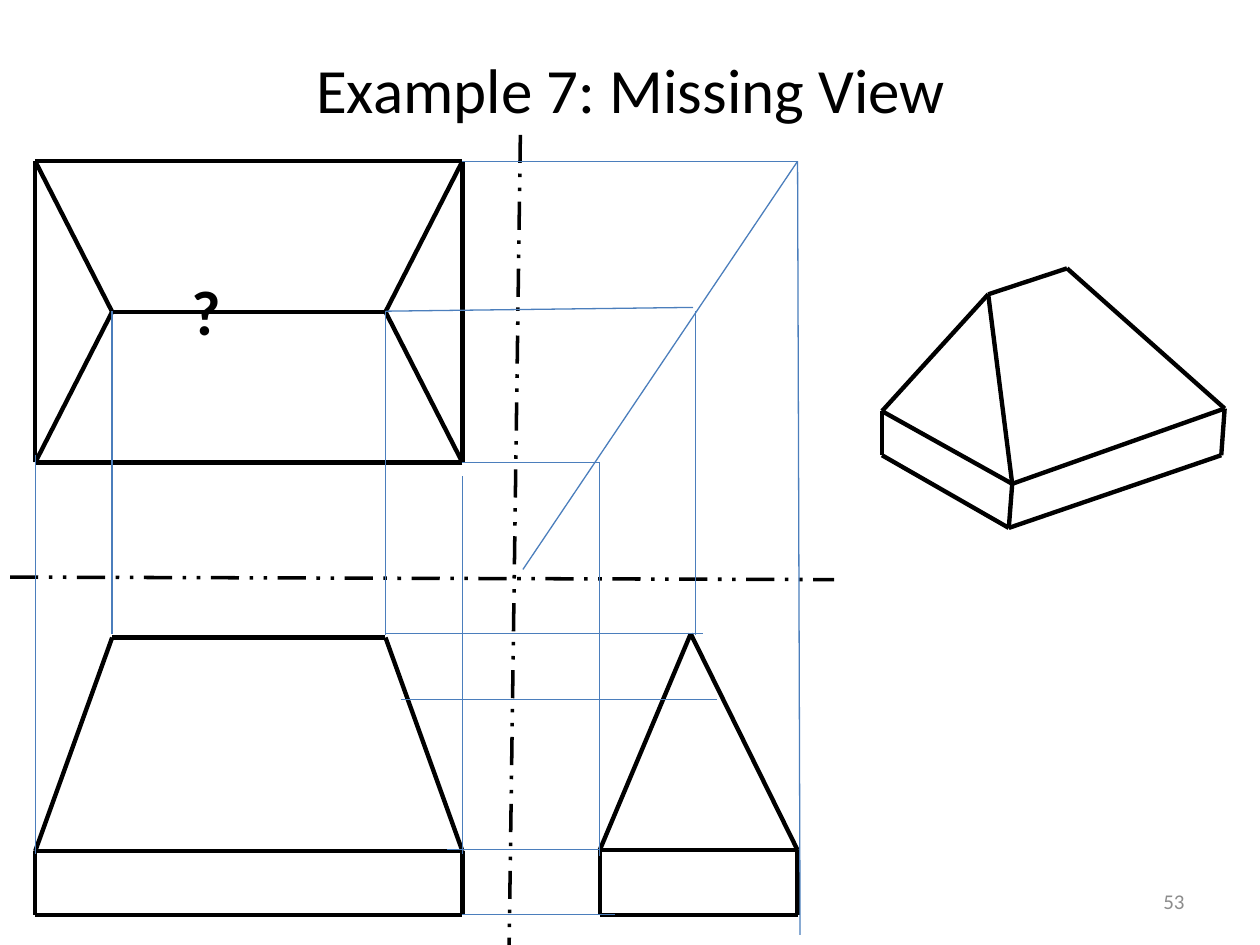
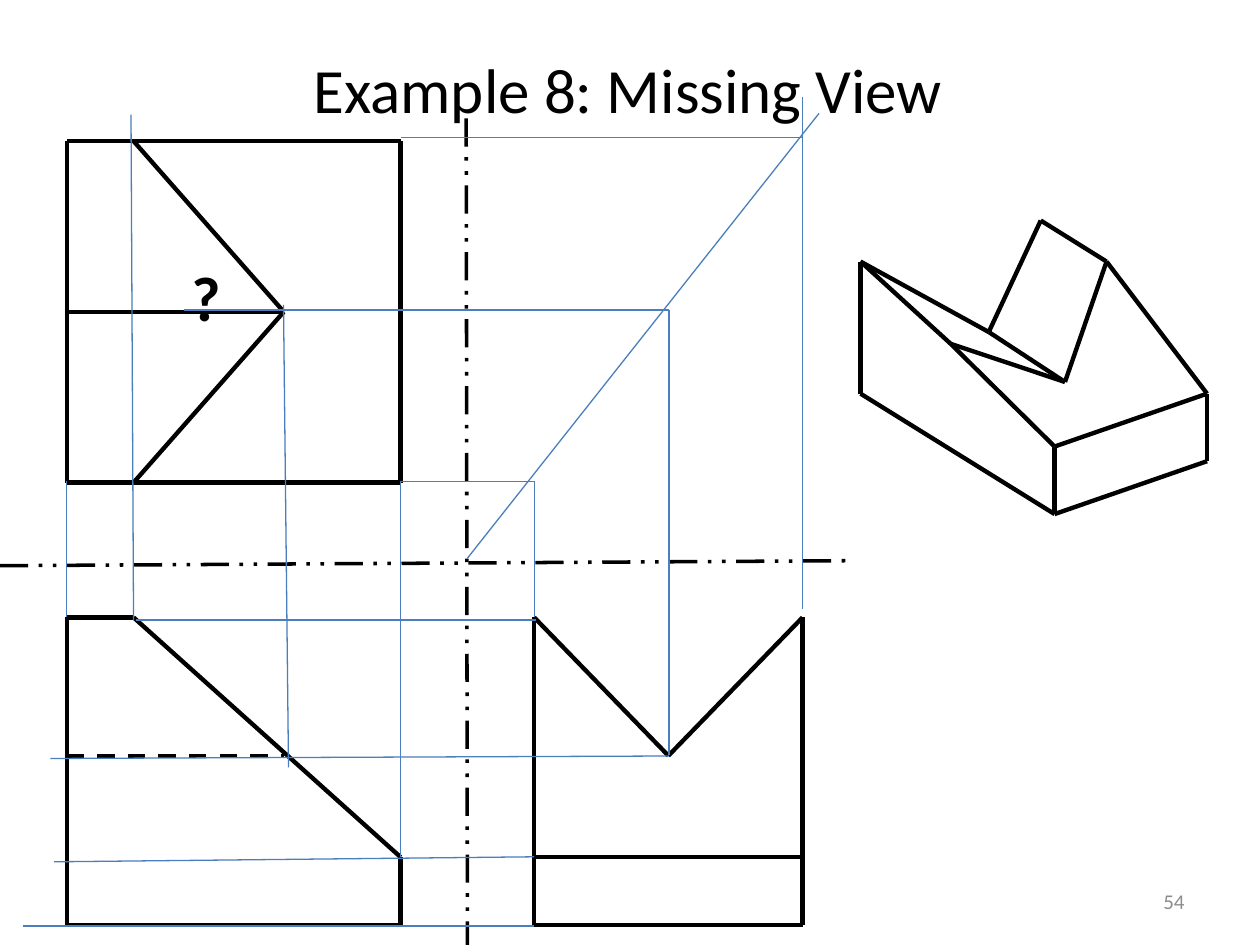
from itertools import pairwise

from lxml.etree import SubElement
from pptx import Presentation
from pptx.dml.color import RGBColor
from pptx.enum.dml import MSO_LINE as Dash
from pptx.enum.shapes import MSO_CONNECTOR as Connector
from pptx.enum.text import MSO_ANCHOR as Anchor, MSO_AUTO_SIZE as AutoSize, PP_ALIGN as Align
from pptx.oxml.ns import qn
from pptx.util import Inches, Pt

# The slide is a grid of 100 columns by 75 rows
COLUMNS, ROWS = 100, 75
WIDTH, HEIGHT = Inches(10), Inches(7.5)

COLORS = {"ink": "000000", "guide": "4B7EBC", "number": "8C8C8C"}
PENS = {
    "edge": ("ink", 2.5, None),
    "hidden": ("ink", 2.5, Dash.DASH),
    "fold": ("ink", 2, Dash.DASH_DOT_DOT),
    "guide": ("guide", 0.75, None),
}
TITLE_FONT = {"name": "Calibri", "size": Pt(36), "bold": False}
MARK_FONT = {"name": "Calibri", "size": Pt(36), "bold": True}
NUMBER_FONT = {"name": "Calibri", "size": Pt(12), "bold": False}
NUMBER_BOX = (71.7, 69.5, 23.3, 4)
CORNERS = {"A": (0, 0), "B": (1, 0), "C": (1, 1), "D": (0, 1)}

# Views: box on the grid, points as shares of the box, strokes through the points
HIP_ROOF = {
    "title": "Example 7: Missing View",
    "title_box": (4.2, 3.3, 91.7, 7.5),
    "mark_box": (14.2, 21.1, 6.7, 7.1),
    "number": "53",
    "views": {
        "top": {
            "box": (2.8, 12.8, 33.9, 23.9),
            "points": CORNERS | {"E": (0.18, 0.5), "F": (0.82, 0.5)},
            "edge": ["ABCDA", "AED", "BFC", "EF"],
        },
        "front": {
            "box": (2.8, 50.6, 33.9, 22),
            "points": {"A": (0.18, 0), "B": (0.82, 0), "C": (1, 0.77),
                       "D": (0, 0.77), "E": (1, 1), "F": (0, 1)},
            "edge": ["DABC", "CDFEC"],
        },
        "side": {
            "box": (47.6, 50.3, 15.7, 22.3),
            "points": {"A": (0.46, 0), "B": (0, 0.77), "C": (1, 0.77),
                       "D": (1, 1), "E": (0, 1)},
            "edge": ["BAC", "CBEDC"],
        },
        "solid": {
            "box": (70, 21.3, 27.2, 20.6),
            "points": {"A": (0.54, 0), "B": (0.31, 0.1), "C": (0, 0.55), "D": (0.38, 0.83),
                       "E": (1, 0.54), "F": (0, 0.72), "G": (0.37, 1), "H": (0.99, 0.72)},
            "edge": ["CBAEDC", "BD", "CFGHE", "DG"],
        },
    },
    "folds": [(41.3, 10.7, 40.4, 75.8), (0.8, 45.8, 66.2, 46)],
    "across": [(12.8, 36.7, 63.3), (36.7, 36.7, 47.6), (50.3, 30.6, 55.8),
               (55.5, 31.8, 56.9), (67.4, 35.5, 47.6), (72.6, 36.7, 48.8)],
    "down": [(2.8, 36.1, 67.8), (8.9, 24.7, 50.3), (30.6, 24.7, 50.4),
             (36.7, 37.8, 67.8), (47.6, 36.7, 67.9), (55.2, 24.7, 50.4)],
    "slanted": [(41.5, 45.2, 63.3, 12.8), (63.3, 12.8, 63.5, 74.2),
                (30.6, 24.7, 55, 24.4)],
}
NOTCHED_WEDGE = {
    "title": "Example 8: Missing View",
    "title_box": (1.1, 2.2, 97.5, 9.6),
    "mark_box": (14.2, 20, 6.7, 7.1),
    "number": "54",
    "views": {
        "top": {
            "box": (5.3, 11.2, 26.5, 27.1),
            "points": CORNERS | {"E": (0.2, 0), "F": (0.65, 0.5),
                                 "G": (0.2, 1), "H": (0, 0.5)},
            "edge": ["ABCDA", "EFG", "HF"],
        },
        "front": {
            "box": (5.3, 49, 26.5, 24.4),
            "points": {"A": (0, 0), "B": (0.2, 0), "C": (1, 0.78), "D": (1, 1),
                       "E": (0, 1), "F": (0, 0.45), "G": (0.65, 0.45)},
            "edge": ["ABCDEA"],
            "hidden": ["FG"],
        },
        "side": {
            "box": (42.4, 49, 21.3, 24.4),
            "points": {"A": (0, 0), "B": (0.5, 0.45), "C": (1, 0), "D": (1, 1),
                       "E": (0, 1), "F": (0, 0.78), "G": (1, 0.78)},
            "edge": ["ABCDEA", "FG"],
        },
        "solid": {
            "box": (68.3, 17.5, 27.5, 23.3),
            "points": {"A": (0, 0.14), "B": (0.26, 0.42), "C": (0.37, 0.38),
                       "D": (0.59, 0.55), "E": (0.52, 0), "F": (0.71, 0.14),
                       "G": (1, 0.59), "H": (1, 0.82), "I": (0.56, 0.77),
                       "J": (0.56, 1), "K": (0, 0.59)},
            "edge": ["KABIJK", "IGHJ", "BDCA", "CEFD", "FG"],
        },
    },
    "folds": [(37, 9.4, 37.1, 77.5), (0, 44.9, 67.5, 44.5)],
    "across": [(10.9, 31.8, 63.7), (24.6, 14.6, 53.1), (38.2, 31.8, 42.4),
               (49.2, 10.8, 42.5), (73.5, 1.8, 42.4)],
    "down": [(5.3, 38.2, 49), (31.8, 38.2, 68), (42.4, 38.2, 49),
             (53.1, 24.6, 59.9), (63.7, 7.7, 48.3)],
    "slanted": [(37.1, 44.3, 65, 9), (10.4, 9.1, 10.6, 49.2), (22.5, 24.2, 22.9, 60.9),
                (53.1, 60, 4, 60.2), (4.3, 68.4, 42.4, 68)],
}


def place(column, row):
    return round(column * WIDTH / COLUMNS), round(row * HEIGHT / ROWS)


def add_line(shapes, start, end, pen):
    color, weight, dash = PENS[pen]
    link = shapes.add_connector(Connector.STRAIGHT, *place(*start), *place(*end))
    link.line.color.rgb = RGBColor.from_string(COLORS[color])
    link.line.width = Pt(weight)
    if dash:
        link.line.dash_style = dash
    SubElement(link._element.spPr, qn("a:effectLst"))


def write(box, text, font, color="ink", align=Align.LEFT, anchor=Anchor.MIDDLE):
    frame = box.text_frame
    frame.word_wrap = True
    frame.vertical_anchor = anchor
    para = frame.paragraphs[0]
    para.alignment = align
    span = para.add_run()
    span.text = text
    for name, value in font.items():
        setattr(span.font, name, value)
    span.font.color.rgb = RGBColor.from_string(COLORS[color])


def add_label(page, box, *args, **kwargs):
    label = page.shapes.add_textbox(*place(*box[:2]), *place(*box[2:]))
    write(label, *args, **kwargs)
    return label


def add_title(page, box, text):
    title = page.shapes.title
    title.left, title.top = place(*box[:2])
    title.width, title.height = place(*box[2:])
    write(title, text, TITLE_FONT, align=Align.CENTER)


def draw_view(page, view):
    """Draw one view as a group of lines inside its box."""
    left, top, width, height = view["box"]
    points = {name: (left + x * width, top + y * height)
              for name, (x, y) in view["points"].items()}
    group = page.shapes.add_group_shape()
    for pen in ("edge", "hidden"):
        for stroke in view.get(pen, []):
            for start, end in pairwise(stroke):
                add_line(group.shapes, points[start], points[end], pen)


def draw_projection(page, drawing):
    """Draw the fold lines and the thin guides between the views."""
    for x1, y1, x2, y2 in drawing["folds"]:
        add_line(page.shapes, (x1, y1), (x2, y2), "fold")
    guides = [(start, row, end, row) for row, start, end in drawing["across"]]
    guides += [(column, start, column, end) for column, start, end in drawing["down"]]
    for x1, y1, x2, y2 in guides + drawing["slanted"]:
        add_line(page.shapes, (x1, y1), (x2, y2), "guide")


def build_page(deck, drawing):
    page = deck.slides.add_slide(deck.slide_layouts[5])
    for view in drawing["views"].values():
        draw_view(page, view)
    draw_projection(page, drawing)
    # Title, question mark and page number
    add_title(page, drawing["title_box"], drawing["title"])
    mark = add_label(page, drawing["mark_box"], "?", MARK_FONT, anchor=Anchor.TOP)
    mark.text_frame.auto_size = AutoSize.SHAPE_TO_FIT_TEXT
    add_label(page, NUMBER_BOX, drawing["number"], NUMBER_FONT, "number", Align.RIGHT)


def main():
    deck = Presentation()
    deck.slide_width, deck.slide_height = WIDTH, HEIGHT
    for drawing in (HIP_ROOF, NOTCHED_WEDGE):
        build_page(deck, drawing)
    deck.save("out.pptx")


if __name__ == "__main__":
    main()
